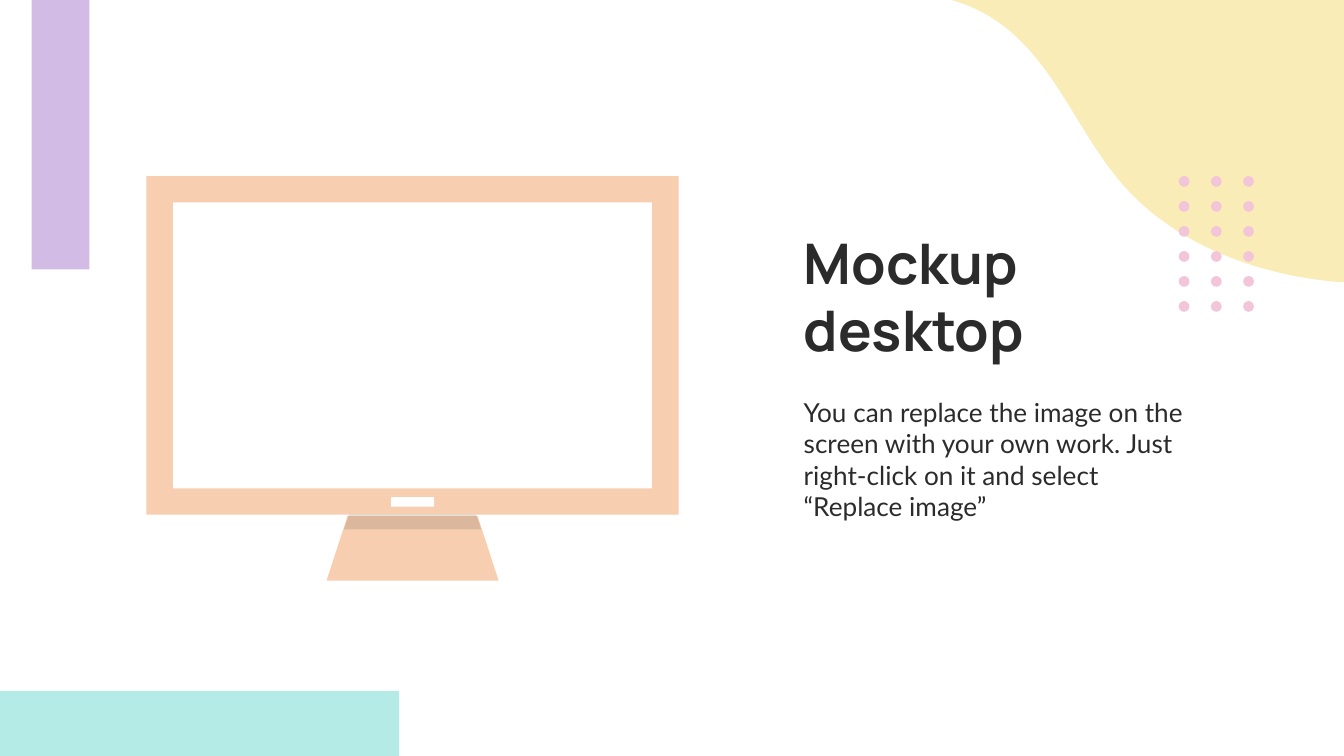
from pptx import Presentation
from pptx.dml.color import RGBColor
from pptx.enum.shapes import MSO_SHAPE
from pptx.enum.text import MSO_ANCHOR, MSO_AUTO_SIZE, PP_ALIGN
from pptx.oxml.ns import qn
from pptx.util import Inches, Pt
from lxml.etree import SubElement

WIDTH = 10
HEIGHT = WIDTH * 9 / 16
UNITS_PER_INCH = 1000
TEAL, LILAC, PEACH, WHITE = "B5EBE7", "D2BCE6", "F7CFB0", "FFFFFF"
YELLOW, PINK, INK = "FAECB6", "F3C5D8", "2B2B2B"

TEXTS = [
    ("Mockup desktop", (5.88, 1.59, 3.03, 1.21), MSO_ANCHOR.BOTTOM,
     {"name": "Manrope", "size": Pt(30), "bold": True}),
    ("You can replace the image on the screen with your own work. "
     "Just right-click on it and select “Replace image”",
     (5.88, 2.85, 3.03, 1.11), MSO_ANCHOR.TOP,
     {"name": "Lato", "size": Pt(14), "bold": False}),
]
BANDS = [
    ((0, 5.14, 2.97, 0.49), 0, TEAL),
    ((-0.56, 0.78, 2.02, 0.43), 270, LILAC),
]
MONITOR = [
    (MSO_SHAPE.TRAPEZOID, (2.43, 3.84, 1.28, 0.48), 0.325, PEACH, 100),
    (MSO_SHAPE.TRAPEZOID, (2.56, 3.7, 1.02, 0.24), 0.325, INK, 14),
    (MSO_SHAPE.FRAME, (1.09, 1.31, 3.96, 2.52), 0.078, PEACH, 100),
    (MSO_SHAPE.RECTANGLE, (2.91, 3.7, 0.32, 0.07), None, WHITE, 100),
]
WAVE_START = (10.26, 2.11)
WAVE_CURVES = [
    ((10.17, 2.11), (10.07, 2.1), (9.97, 2.1)),
    ((9.37, 2.05), (8.76, 1.83), (8.36, 1.38)),
    ((8, 0.97), (7.83, 0.4), (7.36, 0.12)),
    ((7.13, -0.02), (6.86, -0.06), (6.59, -0.06)),
    ((6.34, -0.06), (6.08, -0.03), (5.83, -0.01)),
]
WAVE_CORNERS = [(5.83, -1.6), (10.53, -1.6), (10.53, 2.1)]
DOTS = {"left": 8.77, "top": 1.31, "columns": 3, "rows": 6,
        "across": 0.24, "down": 0.93 / 5, "size": 0.08}


def colour(text):
    return RGBColor.from_string(text)


def paint(shape, fill, opacity=100):
    shape.shadow.inherit = False
    shape.fill.solid()
    shape.fill.fore_color.rgb = colour(fill)
    if opacity < 100:
        tint = next(shape.element.spPr.iter(qn("a:srgbClr")))
        SubElement(tint, qn("a:alpha"), val=str(opacity * 1000))
    shape.line.fill.background()


def add_part(parent, kind, place, fill, opacity=100):
    shape = parent.add_shape(kind, *map(Inches, place))
    paint(shape, fill, opacity)
    return shape


def curve_points(start, first, second, end, steps=24):
    for step in range(1, steps + 1):
        t = step / steps
        weights = ((1 - t) ** 3, 3 * t * (1 - t) ** 2, 3 * t * t * (1 - t), t ** 3)
        yield tuple(sum(weight * point[axis] for weight, point
                        in zip(weights, (start, first, second, end)))
                    for axis in (0, 1))


def add_wave(shapes):
    points = [WAVE_START]
    for curve in WAVE_CURVES:
        points.extend(curve_points(points[-1], *curve))
    outline = [(round(x * UNITS_PER_INCH), round(y * UNITS_PER_INCH))
               for x, y in points + WAVE_CORNERS]
    builder = shapes.build_freeform(*outline[0], scale=Inches(1) / UNITS_PER_INCH)
    builder.add_line_segments(outline[1:], close=True)
    paint(builder.convert_to_shape(), YELLOW)


def fill_placeholder(box, text, place, anchor, font):
    for name, value in zip(("left", "top", "width", "height"), place):
        setattr(box, name, Inches(value))
    frame = box.text_frame
    frame_format = {"word_wrap": True, "auto_size": MSO_AUTO_SIZE.NONE,
                    "vertical_anchor": anchor}
    for side in ("left", "top", "right", "bottom"):
        frame_format["margin_" + side] = Inches(0.1)
    para = frame.paragraphs[0]
    span = para.add_run()
    span.text = text
    para_format = {"alignment": PP_ALIGN.LEFT, "line_spacing": 1.0,
                   "space_before": Pt(0)}
    for target, values in ((frame, frame_format), (para, para_format), (span.font, font)):
        for name, value in values.items():
            setattr(target, name, value)
    span.font.color.rgb = colour(INK)


def main():
    deck = Presentation()
    deck.slide_width, deck.slide_height = Inches(WIDTH), Inches(HEIGHT)
    page = deck.slides.add_slide(deck.slide_layouts[0])
    for box, content in zip(page.placeholders, TEXTS):
        fill_placeholder(box, *content)
    for place, rotation, fill in BANDS:
        add_part(page.shapes, MSO_SHAPE.RECTANGLE, place, fill).rotation = rotation
    monitor = page.shapes.add_group_shape().shapes
    for kind, place, adjustment, fill, opacity in MONITOR:
        part = add_part(monitor, kind, place, fill, opacity)
        if adjustment is not None:
            part.adjustments[0] = adjustment
    add_wave(page.shapes)
    dots = page.shapes.add_group_shape().shapes
    for column in range(DOTS["columns"]):
        for row in range(DOTS["rows"]):
            place = (DOTS["left"] + column * DOTS["across"],
                     DOTS["top"] + row * DOTS["down"], DOTS["size"], DOTS["size"])
            add_part(dots, MSO_SHAPE.OVAL, place, PINK)
    deck.save("out.pptx")


if __name__ == "__main__":
    main()
